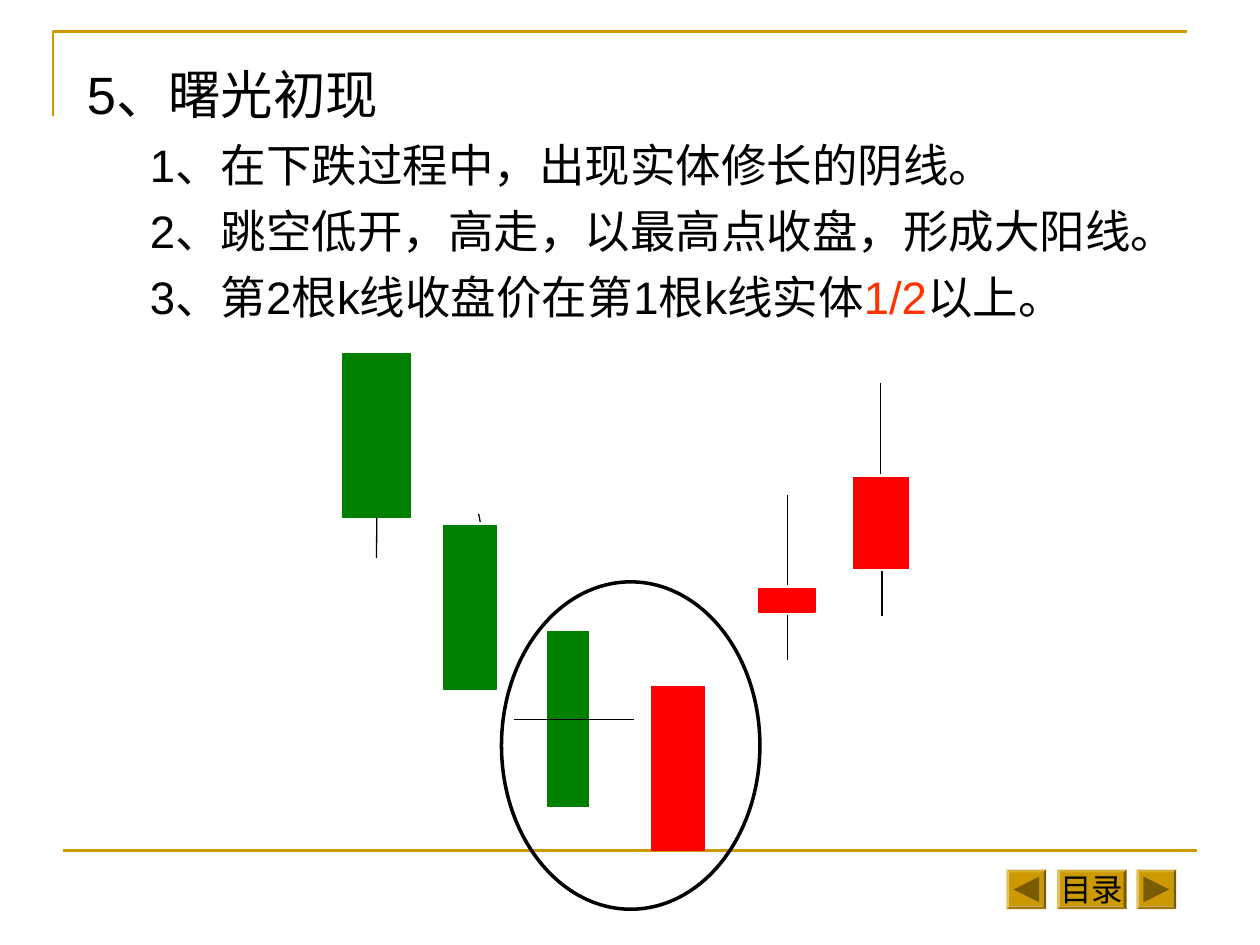
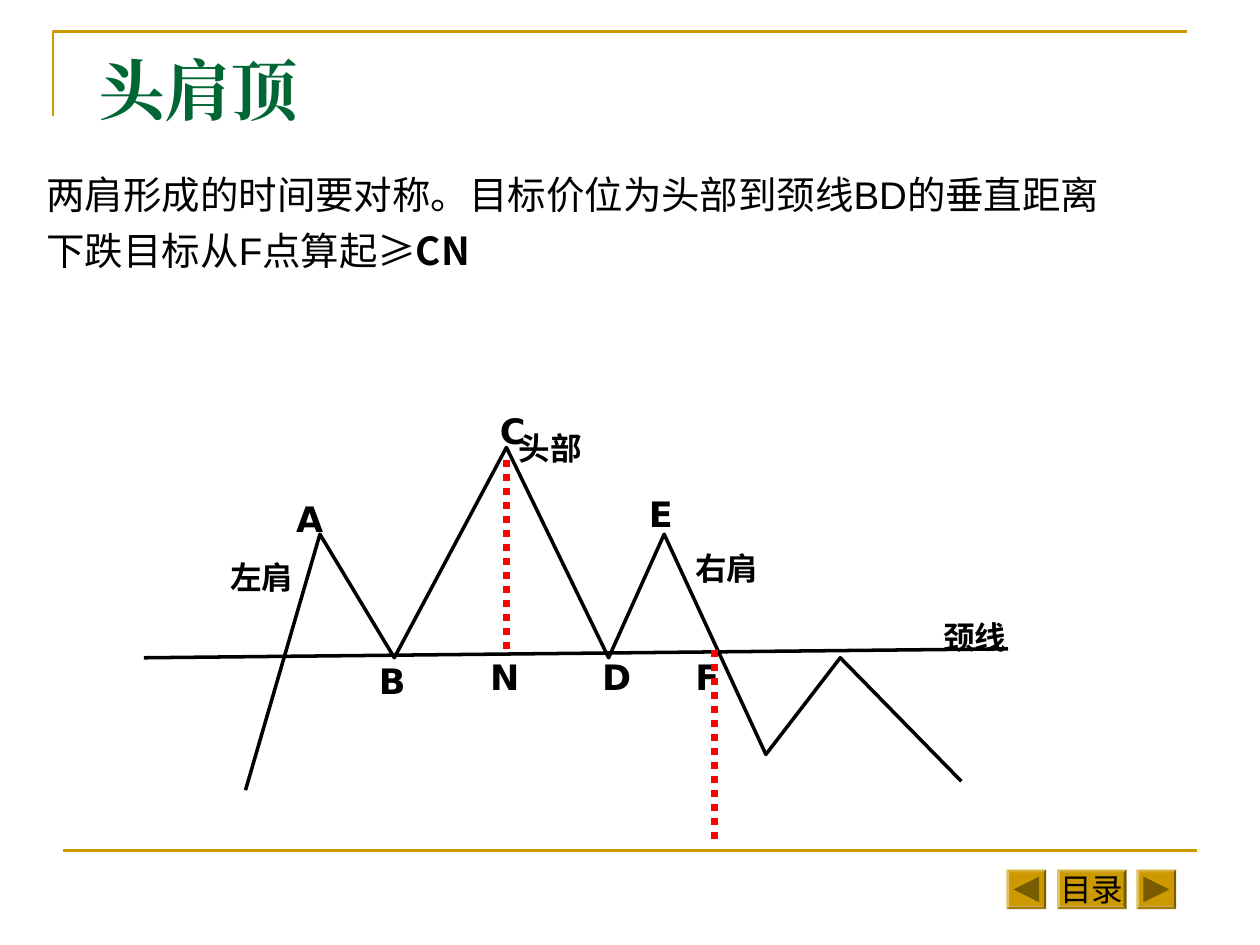
from lxml.etree import SubElement
from pptx import Presentation
from pptx.dml.color import RGBColor
from pptx.enum.dml import MSO_LINE
from pptx.enum.shapes import MSO_CONNECTOR, MSO_SHAPE
from pptx.enum.text import MSO_ANCHOR, MSO_AUTO_SIZE, PP_ALIGN
from pptx.oxml.ns import qn
from pptx.util import Cm, Pt

COLORS = {name: RGBColor.from_string(value) for name, value in {
    "gold": "CC9900",
    "arrow": "7A5C00",
    "black": "000000",
    "heading": "006633",
    "accent": "FF3300",
    "rise": "FF0000",
    "fall": "008000",
}.items()}


def write(frame, paragraphs, size, font="Arial", color="black", bold=False,
          align=PP_ALIGN.LEFT, anchor=MSO_ANCHOR.TOP, before=0, wrap=True, inset=0.25):
    """Fill a text frame; a paragraph is a list of (text, changes) runs."""
    frame.auto_size = MSO_AUTO_SIZE.NONE
    frame.word_wrap = wrap
    frame.vertical_anchor = anchor
    frame.margin_left = frame.margin_right = Cm(inset)
    frame.margin_top = frame.margin_bottom = Cm(inset / 2)
    for index, runs in enumerate(paragraphs):
        paragraph = frame.add_paragraph() if index else frame.paragraphs[0]
        paragraph.alignment = align
        paragraph.line_spacing = Pt(size * 1.2)
        paragraph.space_before = Pt(before if index else 0)
        for text, changes in runs:
            look = {"font": font, "color": color, "bold": bold} | changes
            run = paragraph.add_run()
            run.text = text
            run.font.size = Pt(size)
            run.font.bold = look["bold"]
            run.font.color.rgb = COLORS[look["color"]]
            run.font.name = look["font"]
            east_asian = SubElement(run._r.get_or_add_rPr(), qn("a:ea"))
            east_asian.set("typeface", look["font"])


def draw_line(slide, start, end, color="black", width=0.75, dash=None):
    line = slide.shapes.add_connector(
        MSO_CONNECTOR.STRAIGHT, *(Cm(value) for value in (*start, *end)))
    line.line.color.rgb = COLORS[color]
    line.line.width = Pt(width)
    if dash:
        line.line.dash_style = dash
    SubElement(line._element.spPr, qn("a:effectLst"))
    return line


prs = Presentation()
prs.slide_width, prs.slide_height = Cm(25.4), Cm(19.05)
title_only = prs.slide_layouts[5]
dawn, head_shoulders = (prs.slides.add_slide(title_only) for _ in range(2))

# Shared frame and navigation buttons
for slide in (dawn, head_shoulders):
    builder = slide.shapes.build_freeform(Cm(1.07), Cm(2.34), scale=1.0)
    builder.add_line_segments([(Cm(1.07), Cm(0.64)), (Cm(23.93), Cm(0.64))], close=False)
    corner = builder.convert_to_shape()
    corner.shadow.inherit = False
    corner.fill.background()
    corner.line.color.rgb = COLORS["gold"]
    corner.line.width = Pt(1.5)
    draw_line(slide, (1.27, 17.15), (24.13, 17.15), "gold", 1.5)

    for left, width, label, turn in [(21.31, 1.4, "目录", 0),
                                     (20.29, 0.8, "", -90),
                                     (22.91, 0.8, "", 90)]:
        button = slide.shapes.add_shape(MSO_SHAPE.BEVEL, Cm(left), Cm(17.53), Cm(width), Cm(0.8))
        button.adjustments[0] = 0.07
        parts = [(button, "gold")]
        if label:
            write(button.text_frame, [[(label, {})]], 18, align=PP_ALIGN.CENTER,
                  anchor=MSO_ANCHOR.MIDDLE, wrap=False, inset=0)
        else:
            arrow = slide.shapes.add_shape(MSO_SHAPE.ISOSCELES_TRIANGLE, Cm(left + 0.14),
                                           Cm(17.67), Cm(0.52), Cm(0.52))
            arrow.rotation = turn
            parts.append((arrow, "arrow"))
        for part, color in parts:
            part.shadow.inherit = False
            part.fill.solid()
            part.fill.fore_color.rgb = COLORS[color]
            part.line.fill.background()

# Titles
for slide, text, place, look in [
    (dawn, "5、曙光初现", (1.5, 1.12, 23.04, 1.7), {"size": 30}),
    (head_shoulders, "头肩顶", (1.73, 0.86, 22.02, 2.41),
     {"size": 38, "font": "Times New Roman", "color": "heading", "bold": True}),
]:
    title = slide.shapes.title
    title.left, title.top, title.width, title.height = (Cm(value) for value in place)
    write(title.text_frame, [[(text, {})]], **look)

# Slide 1: conditions of the pattern
conditions = dawn.shapes.add_textbox(Cm(2.77), Cm(2.64), Cm(21.9), Cm(4.4))
write(conditions.text_frame, [
    [("1、在下跌过程中，出现实体修长的阴线。", {})],
    [("2、跳空低开，高走，以最高点收盘，形成大阳线。", {})],
    [("3、第2根k线收盘价在第1根k线实体", {}), ("1/2", {"color": "accent"}), ("以上。", {})],
], 26, before=6.5)

# Slide 1: candles, from left to right
candles = []
for left, top, width, height, color in [
    (6.91, 7.14, 1.37, 3.3, "fall"),
    (8.94, 10.59, 1.07, 3.3, "fall"),
    (11.05, 12.73, 0.81, 3.53, "fall"),
    (13.13, 13.84, 1.07, 3.3, "rise"),
    (15.29, 11.86, 1.14, 0.48, "rise"),
    (17.2, 9.63, 1.12, 1.83, "rise"),
]:
    candle = dawn.shapes.add_shape(MSO_SHAPE.RECTANGLE, Cm(left), Cm(top), Cm(width), Cm(height))
    candle.shadow.inherit = False
    candle.fill.solid()
    candle.fill.fore_color.rgb = candle.line.color.rgb = COLORS[color]
    candle.line.width = Pt(0.75)
    candles.append(candle)

# Slide 1: wicks and the half-way mark
first_wick = draw_line(dawn, (7.59, 10.44), (7.59, 11.25))
first_wick.begin_connect(candles[0], 2)
for start, end in [
    ((9.68, 10.52), (9.65, 10.36)),
    ((15.88, 11.79), (15.88, 9.98)),
    ((15.88, 13.31), (15.88, 12.4)),
    ((17.75, 9.55), (17.75, 7.72)),
    ((17.78, 12.42), (17.78, 11.51)),
    ((12.78, 14.5), (10.36, 14.5)),
]:
    draw_line(dawn, start, end)

pattern_ring = dawn.shapes.add_shape(MSO_SHAPE.OVAL, Cm(10.11), Cm(11.73), Cm(5.21), Cm(6.6))
pattern_ring.shadow.inherit = False
pattern_ring.fill.background()
pattern_ring.line.color.rgb = COLORS["black"]
pattern_ring.line.width = Pt(2)

# Slide 2: rule for the price target
target_rule = head_shoulders.shapes.add_textbox(Cm(0.69), Cm(3.33), Cm(24.2), Cm(3.89))
write(target_rule.text_frame, [
    [("两肩形成的时间要对称。目标价位为头部到颈线BD的垂直距离", {})],
    [("下跌目标从F点算起", {}), ("≥", {"font": "Noto Sans CJK SC"}),
     ("CN", {"font": "Noto Sans CJK SC", "bold": True})],
], 22, align=PP_ALIGN.JUSTIFY, before=5.5)

# Slide 2: neckline and price path
draw_line(head_shoulders, (2.9, 13.26), (20.32, 13.08), width=2)
turns = [(4.95, 15.93), (6.45, 10.77), (7.95, 13.26), (10.21, 9.02), (12.27, 13.26),
         (13.39, 10.77), (15.44, 15.21), (16.94, 13.26), (19.38, 15.75)]
start, *rest = [(Cm(x), Cm(y)) for x, y in turns]
builder = head_shoulders.shapes.build_freeform(*start, scale=1.0)
builder.add_line_segments(rest, close=False)
price_path = builder.convert_to_shape()
price_path.shadow.inherit = False
price_path.fill.background()
price_path.line.color.rgb = COLORS["black"]
price_path.line.width = Pt(2)

# Slide 2: names of the parts and points
for text, left, top, width, size in [
    ("头部", 10.21, 8.53, 2.24, 18),
    ("颈线", 18.77, 12.34, 2.34, 18),
    ("左肩", 4.39, 11.13, 2.24, 18),
    ("右肩", 13.77, 10.95, 2.24, 18),
    ("A", 5.72, 9.91, 1.12, 20),
    ("B", 7.39, 13.18, 1.12, 20),
    ("C", 9.83, 8.13, 1.12, 20),
    ("D", 11.89, 13.08, 1.12, 20),
    ("E", 12.83, 9.8, 1.12, 20),
    ("F", 13.77, 13.08, 1.12, 20),
    ("N", 9.63, 13.08, 1.12, 20),
]:
    label = head_shoulders.shapes.add_textbox(Cm(left), Cm(top), Cm(width), Cm(size * 0.056))
    write(label.text_frame, [[(text, {})]], size, font="DejaVu Sans", bold=True)

# Slide 2: equal heights above and below the neckline
for x, bottom, top in [(10.21, 13.08, 9.27), (14.4, 16.92, 13.11)]:
    draw_line(head_shoulders, (x, bottom), (x, top), "rise", 4, MSO_LINE.ROUND_DOT)

prs.save("out.pptx")
